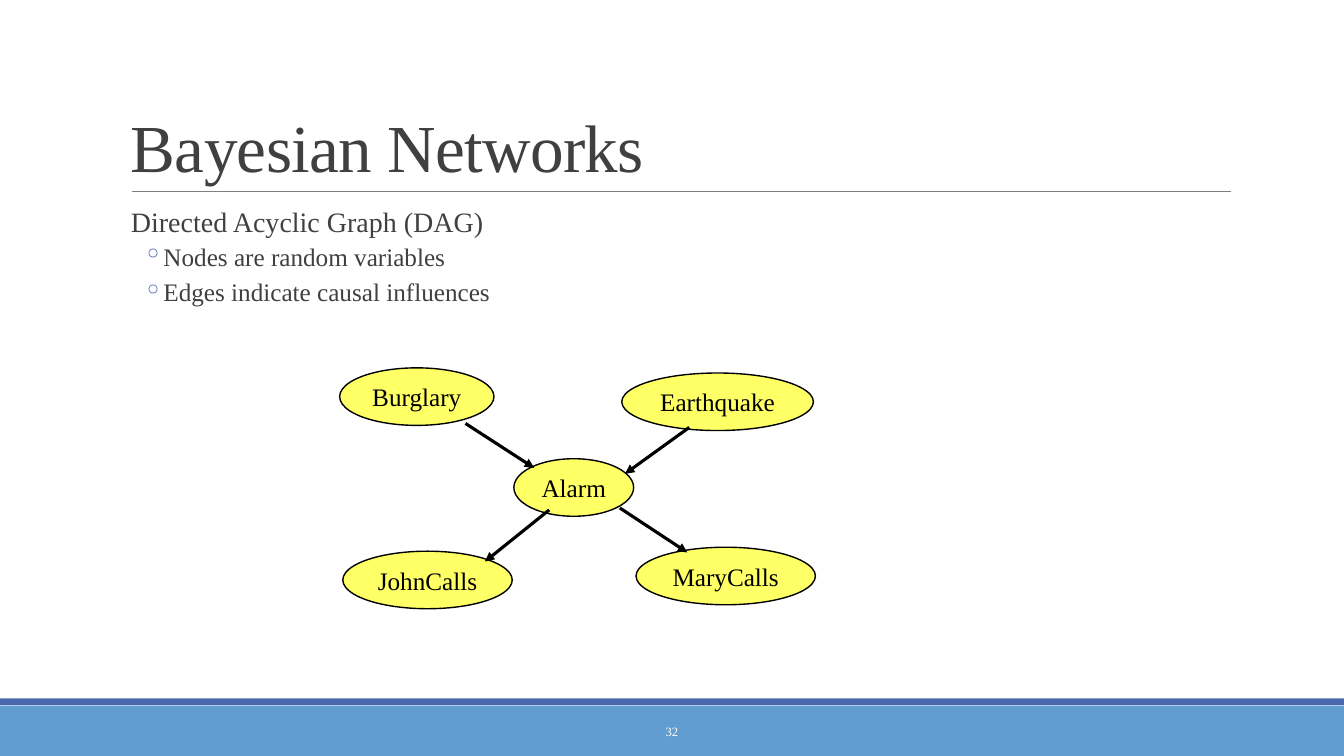
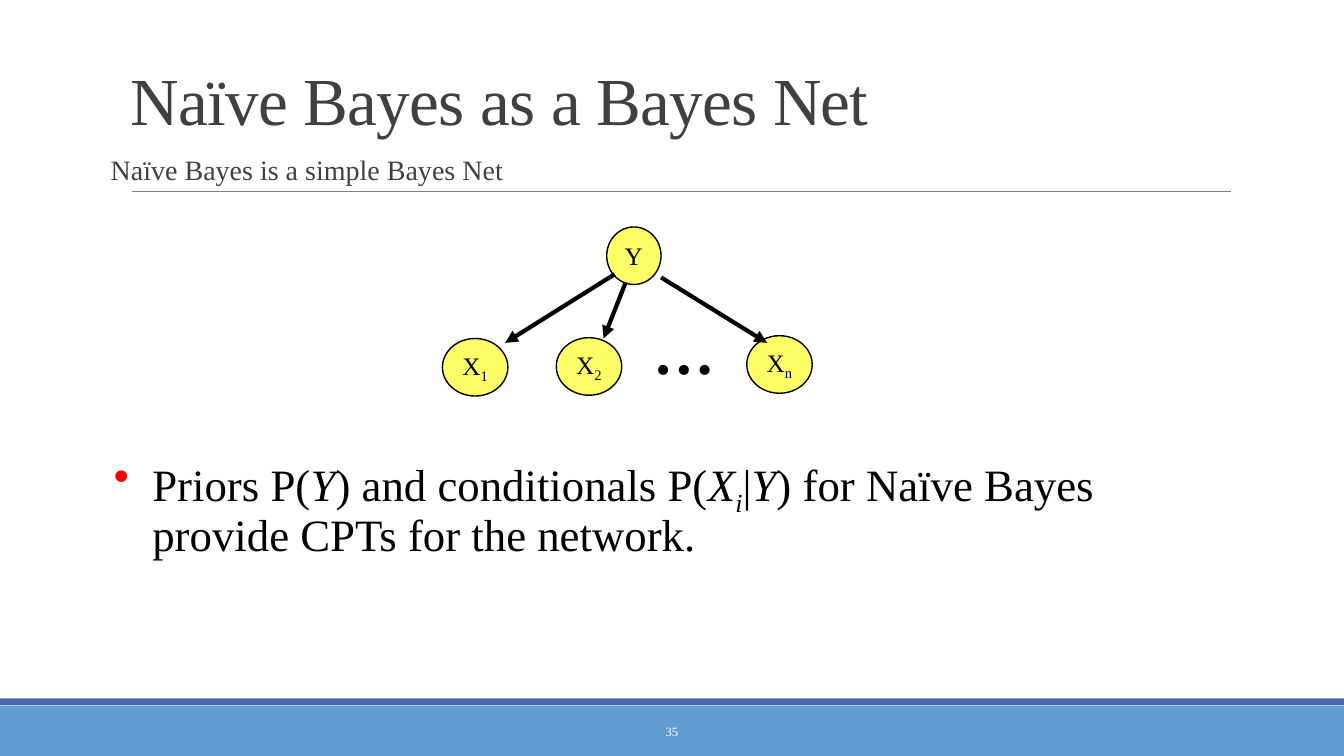
from dataclasses import dataclass

from lxml import etree
from pptx import Presentation
from pptx import util as u
from pptx.dml.color import RGBColor
from pptx.enum import shapes, text
from pptx.oxml.ns import qn


@dataclass(frozen=True)
class Theme:
    font: str = "Times New Roman"
    # Colours
    band: str = "629DD1"
    accent: str = "4A66AC"
    rule: str = "808080"
    heading: str = "404040"
    ink: str = "000000"
    white: str = "FFFFFF"
    node: str = "FFFF66"
    bullet: str = "FF0000"
    # Type sizes in points
    title_size: int = 48
    dots_size: int = 44
    statement_size: int = 32
    body_size: int = 20
    label_size: int = 18
    number_size: int = 9
    # Node height in centimetres
    node_height: float = 1.45


THEME = Theme()


def color(value):
    return RGBColor.from_string(value)


# Text

def add_bullet(paragraph, character, bullet_color, left, hanging):
    properties = paragraph._p.get_or_add_pPr()
    properties.set("marL", str(u.Cm(left)))
    properties.set("indent", str(-u.Cm(hanging)))
    holder = etree.SubElement(properties, qn("a:buClr"))
    etree.SubElement(holder, qn("a:srgbClr"), val=bullet_color)
    etree.SubElement(properties, qn("a:buChar"), char=character)


def write(paragraph, runs, size, text_color, bold=False):
    """Fill a paragraph from (words, style) pairs: i is italic, _ is subscript."""
    for words, style in runs:
        run = paragraph.add_run()
        run.text = words
        if "i" in style:
            run.font.italic = True
        if "_" in style:
            run._r.get_or_add_rPr().set("baseline", "-25000")
    font = paragraph.font
    font.name, font.size, font.bold = THEME.font, u.Pt(size), bold
    font.color.rgb = color(text_color)


def add_text_box(slide, left, top, width, height, anchor=text.MSO_ANCHOR.TOP):
    box = slide.shapes.add_textbox(u.Cm(left), u.Cm(top), u.Cm(width), u.Cm(height))
    frame = box.text_frame
    frame.word_wrap = True
    frame.vertical_anchor = anchor
    return frame


def add_title(slide, words, height):
    frame = add_text_box(slide, 3.05, 0.79, 27.94, height, text.MSO_ANCHOR.BOTTOM)
    paragraph = frame.paragraphs[0]
    paragraph.line_spacing = 0.85
    write(paragraph, [(words, "")], THEME.title_size, THEME.heading)
    paragraph.runs[0]._r.get_or_add_rPr().set("spc", "-50")


def add_body(slide, left, top, width, height, lead, points=()):
    frame = add_text_box(slide, left, top, width, height)
    frame.margin_left = frame.margin_right = 0
    paragraph = frame.paragraphs[0]
    paragraph.line_spacing = 0.9
    paragraph.space_after = u.Pt(2)
    paragraph._p.get_or_add_pPr().set("marL", str(u.Cm(0.25)))
    write(paragraph, [(lead, "")], THEME.body_size, THEME.heading)
    for point in points:
        paragraph = frame.add_paragraph()
        paragraph.line_spacing = 0.9
        paragraph.space_before, paragraph.space_after = u.Pt(2), u.Pt(4)
        add_bullet(paragraph, "◦", THEME.accent, 1.07, 0.51)
        write(paragraph, [(point, "")], THEME.label_size, THEME.heading)


def add_statement(slide, runs):
    paragraph = add_text_box(slide, 2.62, 11.4, 28.78, 1.47).paragraphs[0]
    paragraph.line_spacing = 0.9
    add_bullet(paragraph, "•", THEME.bullet, 0.97, 0.97)
    write(paragraph, runs, THEME.statement_size, THEME.ink)


# Shapes and lines

def add_filled(slide, kind, left, top, width, height, fill):
    shape = slide.shapes.add_shape(
        kind, u.Cm(left), u.Cm(top), u.Cm(width), u.Cm(height))
    shape.shadow.inherit = False
    shape.fill.solid()
    shape.fill.fore_color.rgb = color(fill)
    shape.line.fill.background()
    return shape


def add_node(slide, left, top, width, runs):
    node = add_filled(slide, shapes.MSO_SHAPE.OVAL, left, top, width,
                      THEME.node_height, THEME.node)
    node.line.color.rgb = color(THEME.ink)
    node.line.width = u.Pt(1)
    frame = node.text_frame
    frame.word_wrap = False
    frame.vertical_anchor = text.MSO_ANCHOR.MIDDLE
    paragraph = frame.paragraphs[0]
    paragraph.alignment = text.PP_ALIGN.CENTER
    write(paragraph, runs, THEME.label_size, THEME.ink)


def add_line(slide, start, end, line_color, weight):
    line = slide.shapes.add_connector(
        shapes.MSO_CONNECTOR.STRAIGHT, *(u.Cm(value) for value in start + end))
    line.line.color.rgb = color(line_color)
    line.line.width = u.Pt(weight)
    etree.SubElement(line._element.spPr, qn("a:effectLst"))
    return line


def add_arrow(slide, start, end, weight):
    arrow = add_line(slide, start, end, THEME.ink, weight)
    etree.SubElement(arrow.line._get_or_add_ln(), qn("a:tailEnd"), type="triangle")


# Slides

def add_slide(presentation, title, title_height, number):
    """Start a slide with the shared bands, rule, number and title."""
    slide = presentation.slides.add_slide(presentation.slide_layouts[6])
    rectangle = shapes.MSO_SHAPE.RECTANGLE
    add_filled(slide, rectangle, 0, 17.78, 33.87, 1.27, THEME.band)
    add_filled(slide, rectangle, 0, 17.6, 33.87, 0.17, THEME.accent)
    add_line(slide, (3.33, 4.83), (31.01, 4.83), THEME.rule, 0.5)
    frame = add_text_box(slide, 10.24, 17.93, 13.39, 1.02, text.MSO_ANCHOR.MIDDLE)
    paragraph = frame.paragraphs[0]
    paragraph.alignment = text.PP_ALIGN.CENTER
    write(paragraph, [(str(number), "")], THEME.number_size, THEME.white)
    add_title(slide, title, title_height)
    return slide


def build_networks(presentation):
    slide = add_slide(presentation, "Bayesian Networks", 4.04, 32)
    add_body(slide, 3.05, 5.13, 27.94, 11.18, "Directed Acyclic Graph (DAG)",
             ("Nodes are random variables", "Edges indicate causal influences"))
    for name, left, top, width in (
        ("Burglary", 8.56, 9.27, 3.89),
        ("Earthquake", 15.67, 9.4, 4.83),
        ("Alarm", 12.95, 11.56, 3.02),
        ("JohnCalls", 8.64, 13.89, 4.27),
        ("MaryCalls", 16.03, 13.79, 4.52),
    ):
        add_node(slide, left, top, width, [(name, "")])
    for start, end in (
        ((11.73, 10.67), (13.46, 11.79)),
        ((17.37, 10.77), (15.75, 11.94)),
        ((13.84, 12.85), (12.22, 14.15)),
        ((15.62, 12.8), (17.32, 13.92)),
    ):
        add_arrow(slide, start, end, 2.25)


def build_naive_bayes(presentation):
    slide = add_slide(presentation, "Naïve Bayes as a Bayes Net", 2.84, 35)
    add_body(slide, 2.54, 3.81, 28.78, 1.47, "Naïve Bayes is a simple Bayes Net")
    # Class node above its features
    add_node(slide, 15.29, 5.72, 1.37, [("Y", "")])
    for index, left, top in (("1", 11.15, 8.53), ("2", 14.02, 8.51), ("n", 18.82, 8.46)):
        add_node(slide, left, top, 1.65, [("X", ""), (index, "_")])
    dots = add_text_box(slide, 16.21, 7.75, 2.08, 2.13)
    dots.word_wrap = False
    write(dots.paragraphs[0], [("…", "")], THEME.dots_size, THEME.ink, bold=True)
    for start, end in (
        ((15.49, 6.91), (12.73, 8.64)),
        ((15.77, 7.11), (15.21, 8.53)),
        ((16.66, 6.99), (19.33, 8.64)),
    ):
        add_arrow(slide, start, end, 3)
    add_statement(slide, [
        ("Priors P(", ""), ("Y", "i"), (") and conditionals P(", ""), ("X", "i"),
        ("i", "i_"), ("|", ""), ("Y", "i"),
        (") for Naïve Bayes provide CPTs for the network.", ""),
    ])


def main():
    presentation = Presentation()
    presentation.slide_width, presentation.slide_height = u.Cm(33.87), u.Cm(19.05)
    build_networks(presentation)
    build_naive_bayes(presentation)
    presentation.save("out.pptx")


if __name__ == "__main__":
    main()
